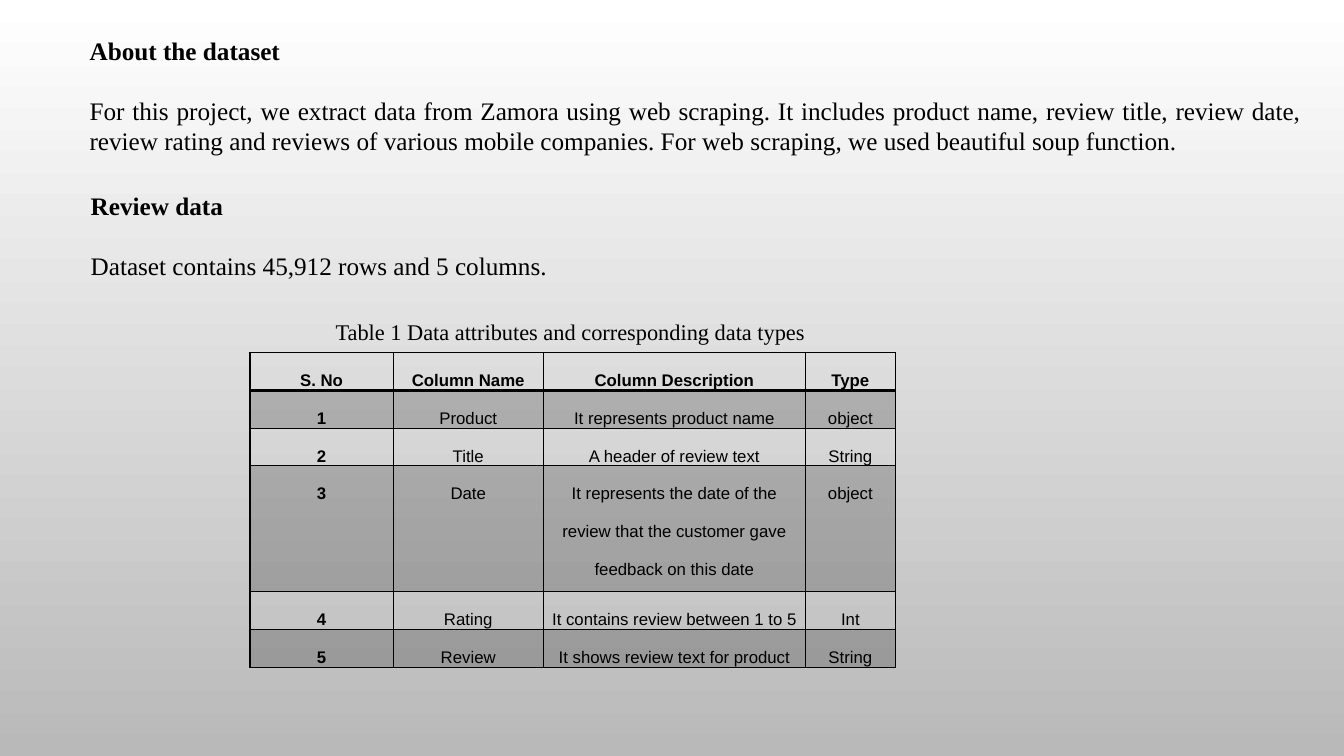
from lxml import etree
from pptx import Presentation
from pptx import util as u
from pptx.dml.color import RGBColor
from pptx.enum import text
from pptx.oxml.ns import qn

COLORS = {"ink": "000000", "top": "FFFFFF", "bottom": "B9B9B9"}
BODY_FONT, TABLE_FONT = "Times New Roman", "Arial"
LINE_GAP = 21
BAND_OPACITY = 20

TEXT_BLOCKS = [
    {
        "box": (0, 1.88, 12.9, 0.91), "insets": (0.9, 0, 0, 0),
        "anchor": text.MSO_ANCHOR.MIDDLE, "size": 18,
        "paragraphs": [
            ("Review data", True),
            ("Dataset contains 45,912 rows and 5 columns.", False),
        ],
    },
    {
        "box": (0.79, 0.3, 12.22, 1.62), "insets": (0.1, 0.05, 0.1, 0.05),
        "anchor": text.MSO_ANCHOR.TOP, "size": 18,
        "paragraphs": [
            ("About the dataset", True),
            ("For this project, we extract data from Zamora using web scraping. "
             "It includes product name, review title, review date, review rating "
             "and reviews of various mobile companies. For web scraping, we used "
             "beautiful soup function.", False),
        ],
    },
    {
        "box": (3.23, 3.11, 6.67, 0.39), "insets": (0.1, 0.05, 0.1, 0.05),
        "anchor": text.MSO_ANCHOR.TOP, "size": 16,
        "paragraphs": [
            ("Table 1 Data attributes and corresponding data types", False),
        ],
    },
]

TABLE_ORIGIN = (2.48, 3.5)
COLUMN_WIDTHS = [1.42, 1.49, 2.6, 0.89]
ROW_HEIGHTS = [0.37, 0.37, 0.37, 1.25, 0.37, 0.37]
ATTRIBUTES = [
    ("S. No", "Column Name", "Column Description", "Type"),
    ("1", "Product", "It represents product name", "object"),
    ("2", "Title", "A header of review text", "String"),
    ("3", "Date", "It represents the date of the review that the customer gave "
     "feedback on this date", "object"),
    ("4", "Rating", "It contains review between 1 to 5", "Int"),
    ("5", "Review", "It shows review text for product", "String"),
]


def color(name):
    return RGBColor.from_string(COLORS[name])


def style_font(font, name, size, bold):
    font.name = name
    font.size = u.Pt(size)
    font.bold = bold
    font.color.rgb = color("ink")


def paint_background(slide):
    fill = slide.background.fill
    fill.gradient()
    fill.gradient_angle = 270
    for stop, name, position in zip(fill.gradient_stops, ("top", "bottom"), (0, 1)):
        stop.color.rgb = color(name)
        stop.position = position


def add_text_block(slide, block):
    shape = slide.shapes.add_textbox(*map(u.Inches, block["box"]))
    frame = shape.text_frame
    frame.word_wrap = True
    frame.vertical_anchor = block["anchor"]
    (frame.margin_left, frame.margin_top,
     frame.margin_right, frame.margin_bottom) = map(u.Inches, block["insets"])
    for index, (words, bold) in enumerate(block["paragraphs"]):
        paragraph = frame.add_paragraph() if index else frame.paragraphs[0]
        paragraph.text = words
        paragraph.alignment = text.PP_ALIGN.JUSTIFY
        paragraph.space_before = u.Pt(LINE_GAP if index else 0)
        style_font(paragraph.font, BODY_FONT, block["size"], bold)


def add_borders(cell, widths):
    properties = cell._tc.get_or_add_tcPr()
    for index, (side, width) in enumerate(widths.items()):
        line = etree.Element(qn(f"a:ln{side}"), w=str(u.Pt(width)))
        fill = etree.SubElement(line, qn("a:solidFill"))
        etree.SubElement(fill, qn("a:srgbClr"), val=COLORS["ink"])
        properties.insert(index, line)


def fill_cell(cell, banded):
    if not banded:
        cell.fill.background()
        return
    cell.fill.solid()
    cell.fill.fore_color.rgb = color("ink")
    shade = cell._tc.tcPr.find(f".//{qn('a:srgbClr')}")
    etree.SubElement(shade, qn("a:alpha"), val=str(BAND_OPACITY * 1000))


def add_attribute_table(slide):
    size = (sum(COLUMN_WIDTHS), sum(ROW_HEIGHTS))
    table = slide.shapes.add_table(
        len(ROW_HEIGHTS), len(COLUMN_WIDTHS), *map(u.Inches, TABLE_ORIGIN + size)
    ).table
    table.first_row = table.horz_banding = False
    for column, width in zip(table.columns, COLUMN_WIDTHS):
        column.width = u.Inches(width)
    for row_index, values in enumerate(ATTRIBUTES):
        table.rows[row_index].height = u.Inches(ROW_HEIGHTS[row_index])
        for column_index, value in enumerate(values):
            cell = table.cell(row_index, column_index)
            cell.margin_left = cell.margin_right = u.Inches(0.07)
            cell.margin_top = cell.margin_bottom = 0
            cell.text = value
            paragraph = cell.text_frame.paragraphs[0]
            paragraph.alignment = text.PP_ALIGN.CENTER
            paragraph.line_spacing = 2.0
            style_font(paragraph.font, TABLE_FONT, 12, row_index == 0 or column_index == 0)
            fill_cell(cell, row_index % 2 == 1)
            add_borders(cell, {
                "L": 1, "R": 1,
                "T": 2 if row_index == 1 else 1,
                "B": 2 if row_index == 0 else 1,
            })


def main():
    presentation = Presentation()
    presentation.slide_width = u.Inches(13.33)
    presentation.slide_height = u.Inches(7.5)
    slide = presentation.slides.add_slide(presentation.slide_layouts[6])
    paint_background(slide)
    add_attribute_table(slide)
    for block in TEXT_BLOCKS:
        add_text_block(slide, block)
    presentation.save("out.pptx")


if __name__ == "__main__":
    main()
